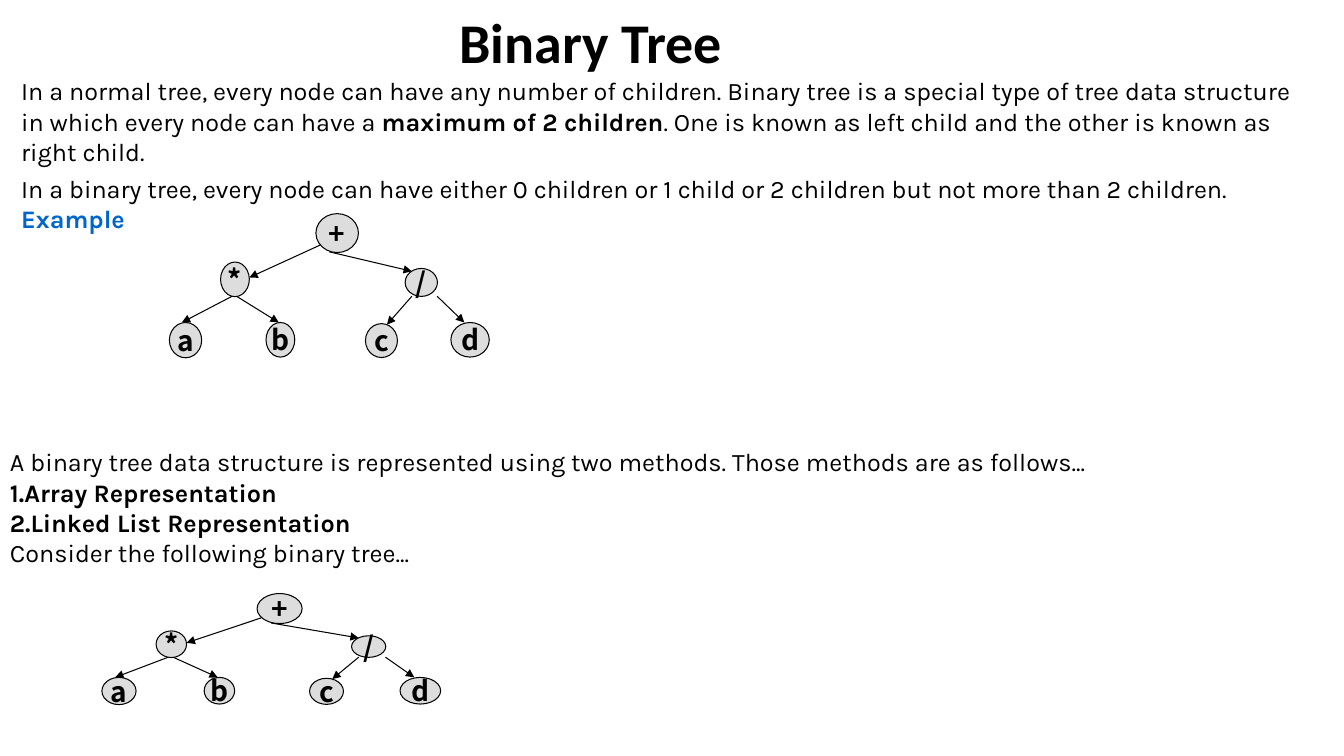
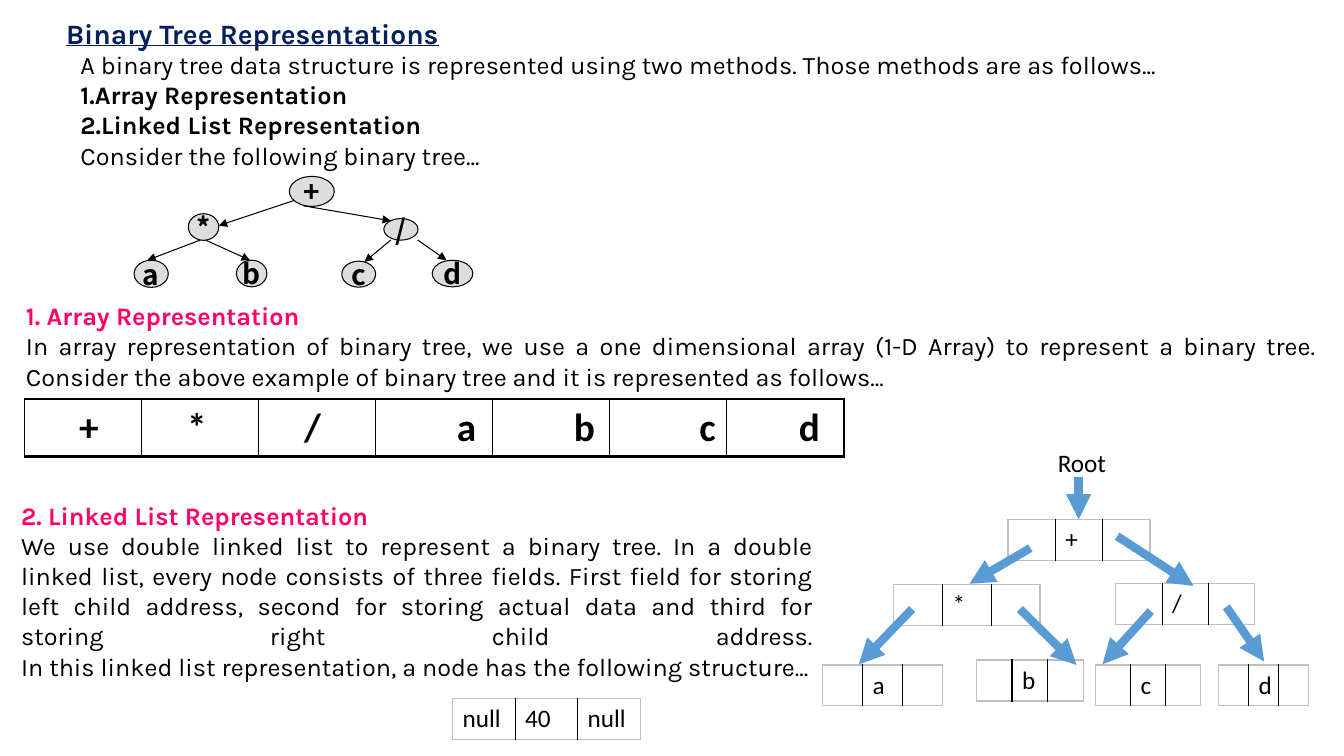
from dataclasses import dataclass
from lxml.etree import SubElement
from pptx import Presentation
from pptx.dml.color import RGBColor
from pptx.enum.shapes import MSO_CONNECTOR as Connector, MSO_SHAPE as Preset
from pptx.enum.text import MSO_ANCHOR as Anchor, PP_ALIGN as Align
from pptx.oxml.ns import qn
from pptx.util import Pt

BLACK = RGBColor(0x00, 0x00, 0x00)
NODE_GREY = RGBColor(0xDD, 0xDD, 0xDD)
FRAME_GREY = RGBColor(0xBF, 0xBF, 0xBF)
EXAMPLE_BLUE = RGBColor(0x00, 0x66, 0xCC)
HEADING_NAVY = RGBColor(0x00, 0x1F, 0x5C)
SECTION_PINK = RGBColor(0xFF, 0x00, 0x66)
ARROW_BLUE = RGBColor(0x5B, 0x9B, 0xD5)
BODY_FONT, TABLE_FONT, NODE_FONT = "Karla", "Calibri", "Noto Sans CJK KR"
ROW_HEIGHT = 29.2

TREE_NODES = [
    ("+", 45.8, 0, 13.3, 27),
    ("/", 73.7, 38, 10.1, 19.4),
    ("d", 88, 75.5, 12, 24),
    ("*", 16, 33.6, 9, 24),
    ("a", 0, 75.5, 10.1, 24.5),
    ("b", 30.2, 75.5, 9, 24),
    ("c", 61.3, 76.3, 10, 23.5),
]
TREE_EDGES = [
    (48.7, 20.2, 25, 44.3),
    (50, 26.5, 75.8, 40),
    (19.6, 57.3, 3.9, 75.5),
    (21, 57.3, 34.2, 75.5),
    (75.8, 57.3, 68, 77),
    (83.7, 57.3, 92.2, 75.5),
]
LINKED_NODES = [
    ("+", 132.5, 55, 101.5),
    ("*", 51, 101.5, 104.4),
    ("/", 209.5, 101, 99.4),
    ("a", 0, 159, 85.7),
    ("b", 110, 155.5, 76.3),
    ("c", 195, 159, 75),
    ("d", 283, 159, 64),
]
LINKS = [
    (183, 24.5, 183, 55),
    (148.5, 75.5, 105, 101),
    (210.5, 67, 265, 102.5),
    (64, 119, 26, 158.5),
    (141, 119, 181.5, 159),
    (234.5, 120.5, 200, 158.5),
    (288.5, 117.5, 315.5, 156.5),
]
ARRAY_CELLS = [("+", 39), ("*", 32.5), ("/", 32.5), ("a", 58),
               ("b", 58), ("c", 64), ("d", 51.5)]


@dataclass
class Span:
    text: str
    bold: bool = False
    color: RGBColor = BLACK
    size: float = 18
    font: str = BODY_FONT
    underline: bool = False


@dataclass
class Para:
    spans: list
    align: Align = Align.LEFT
    numbered: bool = False
    line_spacing: float = 1


def fill_paragraph(paragraph, content):
    paragraph.alignment = content.align
    if content.line_spacing != 1:
        paragraph.line_spacing = content.line_spacing
    if content.numbered:
        properties = paragraph._p.get_or_add_pPr()
        properties.set("marL", "0")
        properties.set("indent", "0")
        SubElement(properties, qn("a:buAutoNum"), type="arabicPeriod")
    for span in content.spans:
        for index, line in enumerate(span.text.split("\n")):
            if index:
                paragraph.add_line_break()
            run = paragraph.add_run()
            run.text = line
            font = run.font
            font.name, font.size = span.font, Pt(span.size)
            font.bold, font.underline = span.bold, span.underline
            font.color.rgb = span.color


def add_text(slide, box, paragraphs, wrap=True, anchor=Anchor.TOP):
    frame = slide.shapes.add_textbox(*map(Pt, box)).text_frame
    frame.word_wrap = wrap
    frame.vertical_anchor = anchor
    for index, content in enumerate(paragraphs):
        paragraph = frame.add_paragraph() if index else frame.paragraphs[0]
        fill_paragraph(paragraph, content)


def add_arrow(slide, ends, color, width):
    arrow = slide.shapes.add_connector(Connector.STRAIGHT, *map(Pt, ends))
    arrow.line.color.rgb = color
    arrow.line.width = Pt(width)
    SubElement(arrow.line._get_or_add_ln(), qn("a:tailEnd"), type="triangle")
    SubElement(arrow._element.spPr, qn("a:effectLst"))


def add_expression_tree(slide, left, top, width, height):
    def across(share):
        return left + width * share / 100

    def down(share):
        return top + height * share / 100

    for x1, y1, x2, y2 in TREE_EDGES:
        add_arrow(slide, (across(x1), down(y1), across(x2), down(y2)), BLACK, 0.75)
    for symbol, x, y, w, h in TREE_NODES:
        node = slide.shapes.add_shape(
            Preset.OVAL, Pt(across(x)), Pt(down(y)),
            Pt(width * w / 100), Pt(height * h / 100))
        node.shadow.inherit = False
        node.fill.solid()
        node.fill.fore_color.rgb = NODE_GREY
        node.line.color.rgb = BLACK
        node.line.width = Pt(0.75)
        frame = node.text_frame
        frame.word_wrap = False
        frame.vertical_anchor = Anchor.MIDDLE
        span = Span(symbol, bold=True, size=20, font=NODE_FONT)
        fill_paragraph(frame.paragraphs[0], Para([span], Align.CENTER))


def set_borders(cell, borders):
    properties = cell._tc.get_or_add_tcPr()
    for index, (side, (color, width)) in enumerate(borders.items()):
        line = properties.makeelement(qn("a:ln" + side), {"w": str(Pt(width))})
        fill = SubElement(line, qn("a:solidFill"))
        SubElement(fill, qn("a:srgbClr"), val=str(color))
        properties.insert(index, line)


def add_row_table(slide, box, spans, outer, bottom, indents=None):
    left, top, width, height = box
    count = len(spans)
    table = slide.shapes.add_table(1, count, *map(Pt, box)).table
    table.first_row = table.horz_banding = False
    table.rows[0].height = Pt(height)
    inner = (BLACK, 1)
    for index, span in enumerate(spans):
        table.columns[index].width = Pt(width / count)
        cell = table.cell(0, index)
        cell.fill.background()
        set_borders(cell, {
            "L": inner if index else outer,
            "R": inner if index < count - 1 else outer,
            "T": outer,
            "B": bottom,
        })
        if indents:
            cell.margin_left = Pt(indents[index])
            cell.margin_right = Pt(0)
        if span:
            fill_paragraph(cell.text_frame.paragraphs[0], Para([span]))


def add_node_record(slide, left, top, width, fields):
    spans = [Span(field, font=TABLE_FONT) if field else None for field in fields]
    frame = (FRAME_GREY, 1)
    add_row_table(slide, (left, top, width, ROW_HEIGHT), spans, frame, frame)


def add_array(slide, left, top, width):
    spans = [Span(symbol, bold=True, size=28, font=TABLE_FONT)
             for symbol, _ in ARRAY_CELLS]
    add_row_table(slide, (left, top, width, 41), spans, (BLACK, 1), (BLACK, 2),
                  [indent for _, indent in ARRAY_CELLS])


def add_linked_tree(slide, left, top):
    for symbol, x, y, width in LINKED_NODES:
        add_node_record(slide, left + x, top + y, width, ("", symbol, ""))
    for x1, y1, x2, y2 in LINKS:
        add_arrow(slide, (left + x1, top + y1, left + x2, top + y2), ARROW_BLUE, 6)
    add_text(slide, (left + 161, top, 85.7, 29), [Para([Span("Root", font=TABLE_FONT)])])


def add_methods(slide, left, top):
    add_text(slide, (left, top, 879, 94.5), [
        Para([Span("A binary tree data structure is represented using two methods. "
                   "Those methods are as follows...")], Align.JUSTIFY),
        Para([Span("Array Representation", bold=True)], numbered=True),
        Para([Span("Linked List Representation", bold=True)], numbered=True),
        Para([Span("Consider the following binary tree...")], Align.JUSTIFY),
    ])
    

def add_section(slide, box, heading, body):
    add_text(slide, box, [
        Para([Span(heading, bold=True, color=SECTION_PINK)]),
        Para([Span(body)], Align.JUSTIFY),
    ])


def build_definition(slide):
    title = Span("Binary Tree", bold=True, size=40, font=TABLE_FONT)
    add_text(slide, (8, 14.5, 828, 36.5),
             [Para([title], Align.CENTER, line_spacing=0.9)], anchor=Anchor.MIDDLE)
    add_text(slide, (8, 50.5, 922.5, 72.7), [Para([
        Span("In a normal tree, every node can have any number of children. "
             "Binary tree is a special type of tree data structure in which "
             "every node can have a "),
        Span("maximum of 2 children", bold=True),
        Span(". One is known as left child and the other is known as right child."),
    ])])
    add_text(slide, (8, 120.3, 900.5, 51), [
        Para([Span("In a binary tree, every node can have either 0 children or "
                   "1 child or 2 children but not more than 2 children.")],
             Align.JUSTIFY),
        Para([Span("Example", bold=True, color=EXAMPLE_BLUE)]),
    ])
    add_methods(slide, 0, 315.5)
    add_expression_tree(slide, 72.8, 424, 242, 79.3)
    add_expression_tree(slide, 121, 152.6, 228.5, 103)


def build_representations(slide):
    add_methods(slide, 50.4, 31.7)
    add_expression_tree(slide, 95.8, 126, 242, 79.3)
    heading = Span("Binary Tree Representations", bold=True, color=HEADING_NAVY,
                   size=20, underline=True)
    add_text(slide, (39.6, 8, 281.5, 31.7), [Para([heading], Align.CENTER)], wrap=False)
    add_section(
        slide, (11.5, 211, 936, 72.7), "1. Array Representation",
        "In array representation of binary tree, we use a one dimensional array "
        "(1-D Array) to represent a binary tree.\nConsider the above example of "
        "binary tree and it is represented as follows...")
    add_array(slide, 17.5, 285, 585.5)
    add_section(
        slide, (8, 353.5, 579.6, 160), "2. Linked List Representation",
        "We use double linked list to represent a binary tree. In a double linked "
        "list, every node consists of three fields. First field for storing left "
        "child address, second for storing actual data and third for storing right "
        "child address.\nIn this linked list representation, a node has the "
        "following structure...")
    add_node_record(slide, 323.3, 499, 134, ("null", "40", "null"))
    add_linked_tree(slide, 587.5, 316)


def main():
    deck = Presentation()
    deck.slide_width, deck.slide_height = Pt(960), Pt(540)
    for build in (build_definition, build_representations):
        build(deck.slides.add_slide(deck.slide_layouts[6]))
    deck.save("out.pptx")


if __name__ == "__main__":
    main()
